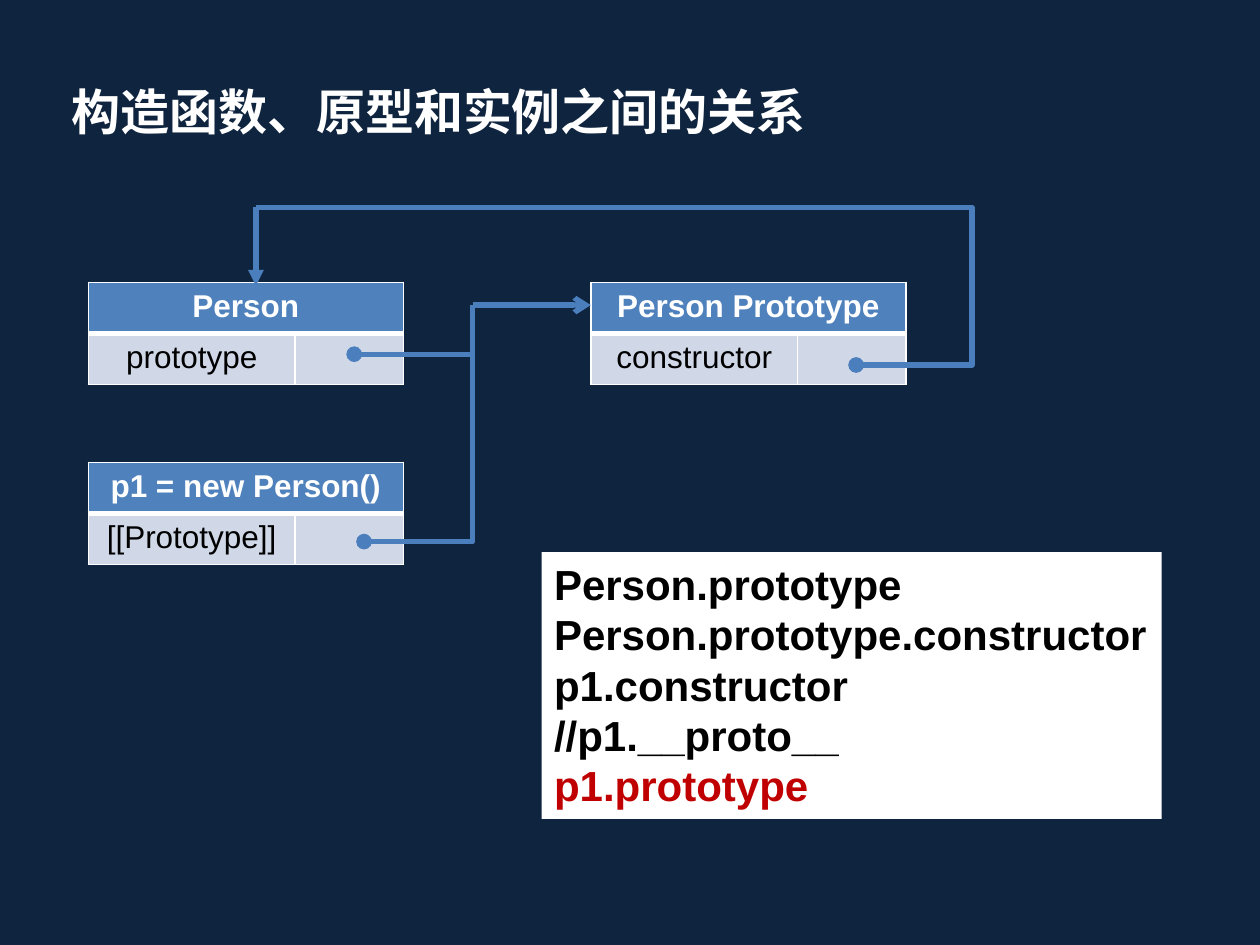
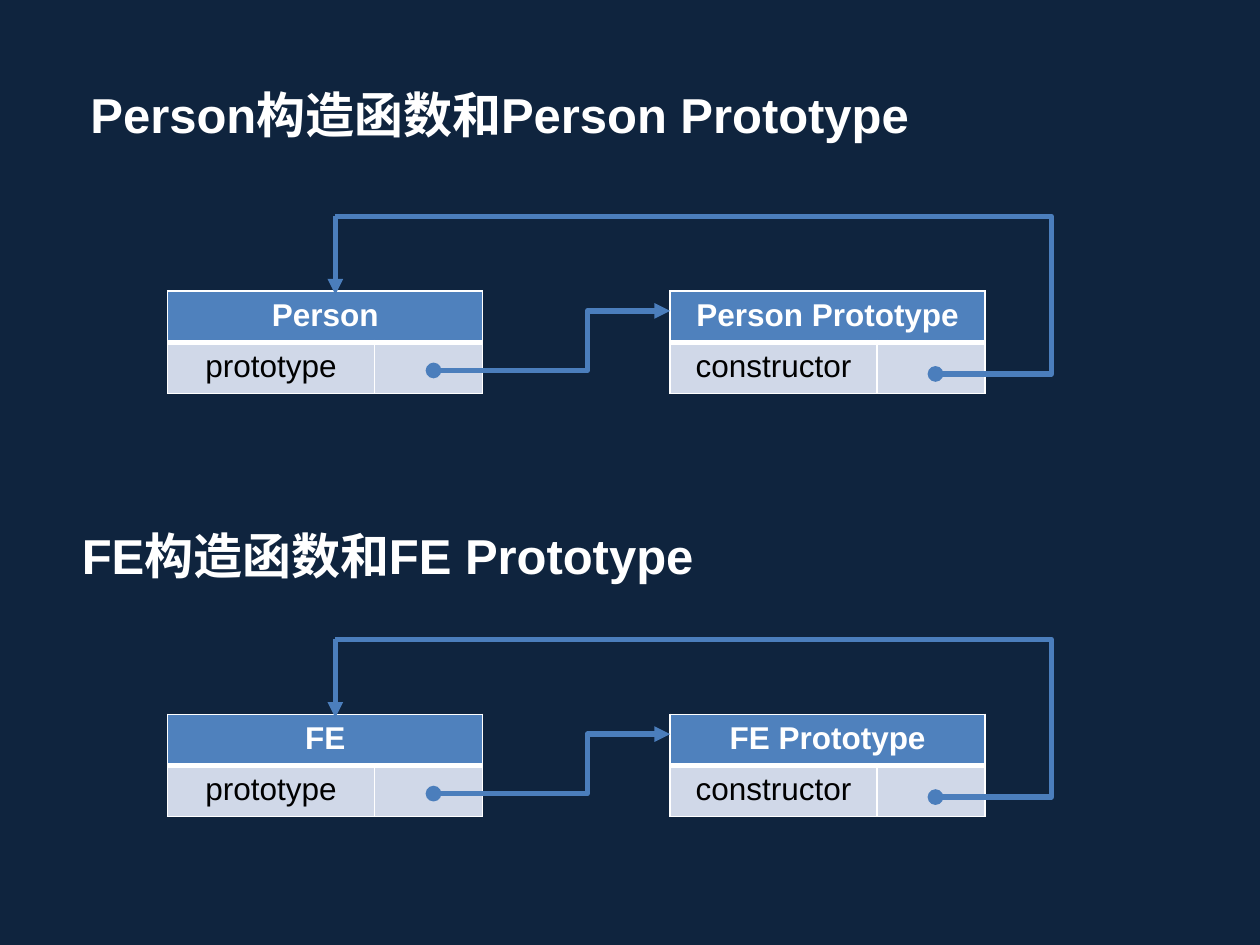
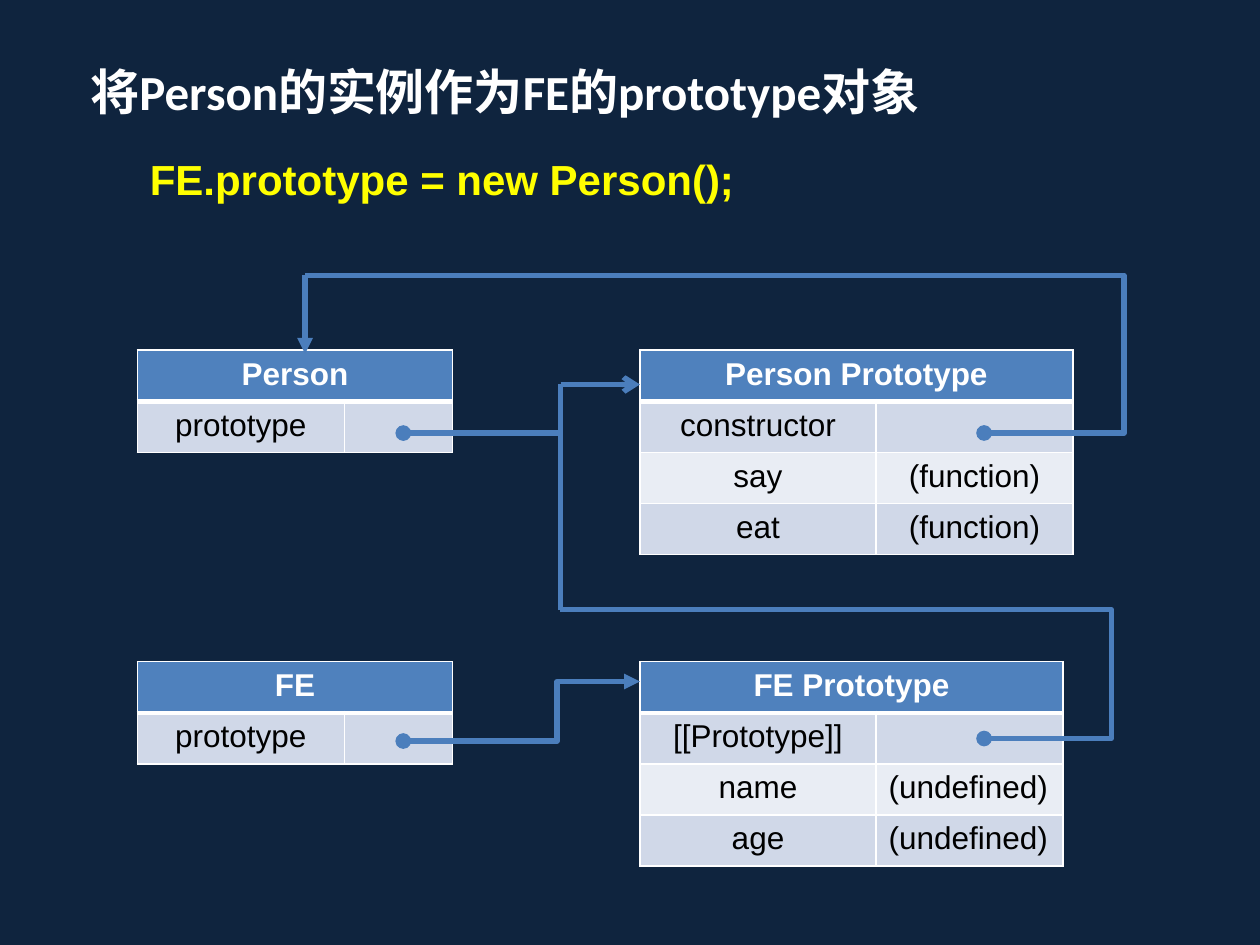
from lxml.etree import SubElement
from pptx import Presentation
from pptx.dml.color import RGBColor
from pptx.enum.shapes import MSO_CONNECTOR, MSO_SHAPE
from pptx.enum.text import MSO_ANCHOR, MSO_AUTO_SIZE, PP_ALIGN
from pptx.oxml.ns import qn
from pptx.util import Cm, Pt

NAVY, WHITE, BLACK = "0F243E", "FFFFFF", "000000"
HEADER, BANDS, LINK = "4F81BD", ("D0D8E8", "E9EDF4"), "4B7EBC"
RED, YELLOW = "C00000", "FFFF00"
ROW_H = 1.03
COLS = (4.17, 2.18)
GAP = 10.13


def color(value):
    return RGBColor.from_string(value)


def add_run(p, text, size, fill, bold=True, font="Arial"):
    r = p.add_run()
    r.text = text
    r.font.name = font
    r.font.size = Pt(size)
    r.font.bold = bold
    r.font.color.rgb = color(fill)


def write_lines(sp, lines, size, font="Arial"):
    tf = sp.text_frame
    tf.word_wrap = True
    tf.auto_size = MSO_AUTO_SIZE.NONE
    tf.vertical_anchor = MSO_ANCHOR.TOP
    for i, (text, fill) in enumerate(lines):
        p = tf.add_paragraph() if i else tf.paragraphs[0]
        p.alignment = PP_ALIGN.LEFT
        add_run(p, text, size, fill, font=font)


def add_slide(prs, title, x, y, w, font="Arial"):
    s = prs.slides.add_slide(prs.slide_layouts[5])
    sp = s.shapes.title
    sp.left, sp.top, sp.width, sp.height = Cm(x), Cm(y), Cm(w), Cm(1.45)
    write_lines(sp, [(title, WHITE)], 28, font)
    return s


def add_label(s, text, x, y, w, h, size, fill):
    sp = s.shapes.add_textbox(Cm(x), Cm(y), Cm(w), Cm(h))
    write_lines(sp, [(text, fill)], size)


def add_code_box(s, lines, x, y, w, h):
    sp = s.shapes.add_shape(MSO_SHAPE.RECTANGLE, Cm(x), Cm(y), Cm(w), Cm(h))
    sp.shadow.inherit = False
    sp.fill.solid()
    sp.fill.fore_color.rgb = color(WHITE)
    sp.line.fill.background()
    write_lines(sp, lines, 24)


def format_cell(cell, fill, bottom=1, top=1):
    tcPr = cell._tc.get_or_add_tcPr()
    for side, width in (("L", 1), ("R", 1), ("T", top), ("B", bottom)):
        ln = SubElement(tcPr, qn("a:ln" + side), w=str(Pt(width)))
        SubElement(SubElement(ln, qn("a:solidFill")), qn("a:srgbClr"), val=WHITE)
    cell.fill.solid()
    cell.fill.fore_color.rgb = color(fill)


def add_object(s, x, y, name, members, cols=COLS, value_align=PP_ALIGN.CENTER):
    n = len(members) + 1
    table = s.shapes.add_table(n, 2, Cm(x), Cm(y), Cm(sum(cols)), Cm(n * ROW_H)).table
    for column, width in zip(table.columns, cols):
        column.width = Cm(width)
    for row in table.rows:
        row.height = Cm(ROW_H)
    for cell in table.rows[0].cells:
        format_cell(cell, HEADER, bottom=3)
    head = table.cell(0, 0)
    head.merge(table.cell(0, 1))
    p = head.text_frame.paragraphs[0]
    p.alignment = PP_ALIGN.CENTER
    add_run(p, name, 18, WHITE)
    for i, member in enumerate(members):
        for j, text in enumerate(member):
            cell = table.cell(i + 1, j)
            format_cell(cell, BANDS[i % 2], top=1 if i else 3)
            if text:
                p = cell.text_frame.paragraphs[0]
                p.alignment = value_align if j else PP_ALIGN.CENTER
                add_run(p, text, 18, BLACK, bold=False)


def add_link(s, x1, y1, x2, y2, turn=None, head=None, tail=None):
    kind = MSO_CONNECTOR.STRAIGHT if turn is None else MSO_CONNECTOR.ELBOW
    sp = s.shapes.add_connector(kind, Cm(x1), Cm(y1), Cm(x2), Cm(y2))
    sp.line.width = Pt(3)
    sp.line.color.rgb = color(LINK)
    spPr = sp._element.spPr
    if turn is not None:
        adj = round((turn - x1) / (x2 - x1) * 100000)
        avLst = spPr.find(qn("a:prstGeom")).find(qn("a:avLst"))
        SubElement(avLst, qn("a:gd"), name="adj1", fmla=f"val {adj}")
    ln = spPr.find(qn("a:ln"))
    for tag, end in (("a:headEnd", head), ("a:tailEnd", tail)):
        if end:
            SubElement(ln, qn(tag), type=end)
    SubElement(spPr, qn("a:effectLst"))


def link_constructor(s, x, y, start=15.48, turn=17.81):
    target, top = x + 3.38, y - 1.51
    add_link(s, x + start, y + 1.67, target, top, x + turn, head="oval")
    add_link(s, target, top, target, y + 0.07, tail="triangle")


def link_prototype(s, x, y):
    add_link(s, x + 5.36, y + 1.6, x + GAP, y + 0.4, x + 8.46, "oval", "triangle")


def link_shared(s, x, y, bus, entry, stub):
    add_link(s, bus, y + entry, x + GAP, y + entry, tail="arrow")
    add_link(s, x + 5.36, y + stub, bus, y + stub, head="oval")


def add_pair(s, x, y, name):
    add_object(s, x, y, name, [("prototype", "")])
    add_object(s, x + GAP, y, name + " Prototype", [("constructor", "")])
    link_constructor(s, x, y)


def build_relations(prs):
    s = add_slide(prs, "构造函数、原型和实例之间的关系", 1.19, 1.52, 15.67, "Calibri")
    x, y, instance_y, bus = 1.78, 5.69, 9.32, 9.53
    add_pair(s, x, y, "Person")
    add_object(s, x, instance_y, "p1 = new Person()", [("[[Prototype]]", "")])
    add_link(s, x + 5.56, instance_y + 1.6, bus, y + 0.46, bus, head="oval")
    link_shared(s, x, y, bus, 0.46, 1.45)
    add_code_box(s, [("Person.prototype", BLACK),
                     ("Person.prototype.constructor", BLACK),
                     ("p1.constructor", BLACK),
                     ("//p1.__proto__", BLACK),
                     ("p1.prototype", RED)], 10.92, 11.13, 12.5, 5.38)


def build_constructors(prs):
    s = add_slide(prs, "Person构造函数和Person Prototype", 1.57, 1.57, 17.02)
    for name, y in (("Person", 5.87), ("FE", 14.4)):
        add_pair(s, 3.38, y, name)
        link_prototype(s, 3.38, y)
    add_label(s, "FE构造函数和FE Prototype", 1.4, 10.46, 12.88, 1.45, 28, WHITE)


def build_inheritance(prs):
    s = add_slide(prs, "将Person的实例作为FE的prototype对象", 1.57, 1.12, 18.06, "Calibri")
    x, y, fe_y, bus, shelf = 2.77, 7.06, 13.34, 11.3, 12.29
    add_object(s, x, y, "Person", [("prototype", "")])
    add_object(s, x + GAP, y, "Person Prototype",
               [("constructor", ""), ("say", "(function)"), ("eat", "(function)")],
               (4.76, 3.97))
    link_constructor(s, x, y, 17.07, 19.89)
    add_object(s, x, fe_y, "FE", [("prototype", "")])
    add_object(s, x + GAP, fe_y, "FE Prototype",
               [("[[Prototype]]", ""), ("name", "(undefined)"), ("age", "(undefined)")],
               (4.76, 3.77), PP_ALIGN.LEFT)
    link_prototype(s, x, fe_y)
    add_link(s, x + 17.07, fe_y + 1.55, bus, shelf, 22.4, head="oval")
    add_link(s, bus, shelf, bus, y + 0.69)
    add_label(s, "FE.prototype = new Person();", x, 2.97, 13.49, 1.27, 24, YELLOW)
    link_shared(s, x, y, bus, 0.69, 1.67)


prs = Presentation()
prs.slide_width, prs.slide_height = Cm(25.4), Cm(19.05)
background = prs.slide_master.background.fill
background.solid()
background.fore_color.rgb = color(NAVY)
build_relations(prs)
build_constructors(prs)
build_inheritance(prs)
prs.save("out.pptx")
